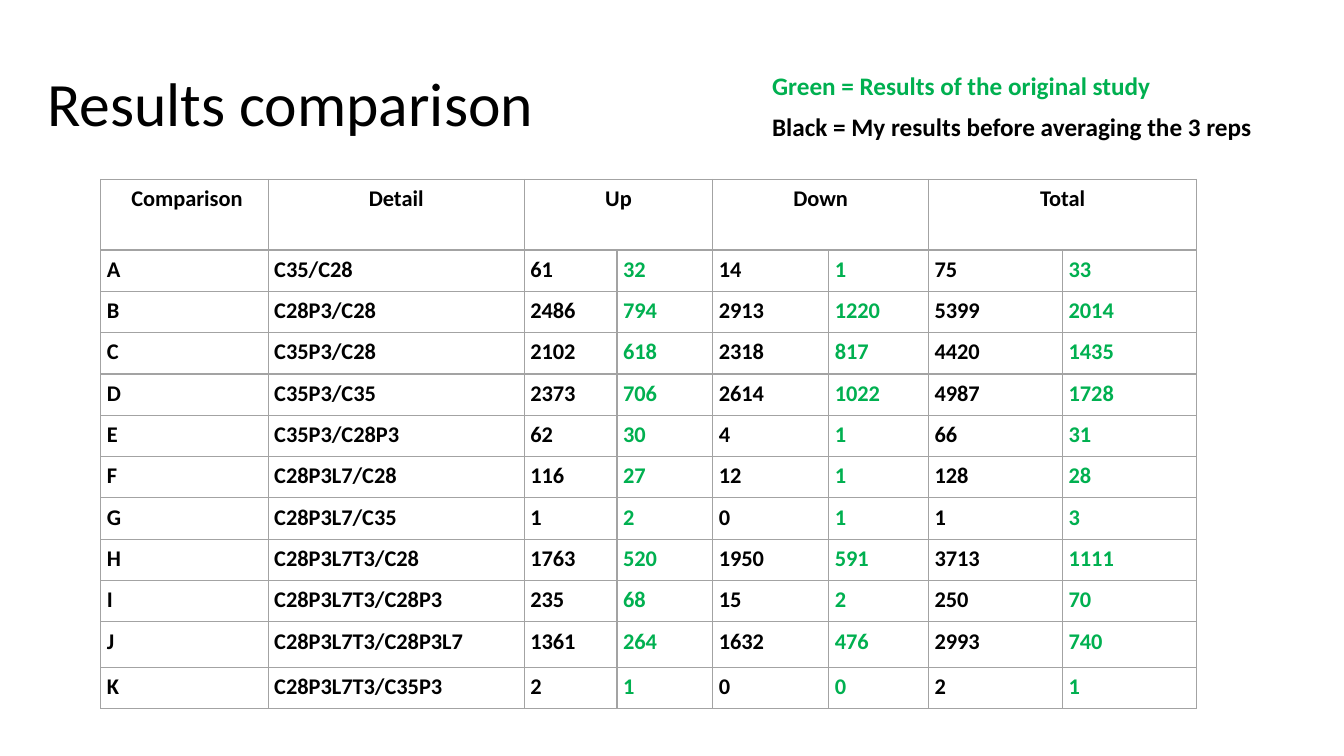
from lxml.etree import SubElement
from pptx import Presentation
from pptx.dml.color import RGBColor
from pptx.enum.text import MSO_ANCHOR, PP_ALIGN
from pptx.oxml.ns import qn
from pptx.util import Inches, Pt

COLORS = {"mine": "000000", "study": "00B050", "grid": "A3A3A3"}

# Grid of the table, in inches
COLUMNS = [1.66, 2.54, 0.92, 0.95, 1.15, 0.99, 1.33, 1.33]
ROWS = [0.7] + [0.41] * 9 + [0.45, 0.41]
CELL_INSET = Inches(0.06)

# Detail, then up (mine, study) and down (mine, study)
RESULTS = [
    ("C35/C28", 61, 32, 14, 1),
    ("C28P3/C28", 2486, 794, 2913, 1220),
    ("C35P3/C28", 2102, 618, 2318, 817),
    ("C35P3/C35", 2373, 706, 2614, 1022),
    ("C35P3/C28P3", 62, 30, 4, 1),
    ("C28P3L7/C28", 116, 27, 12, 1),
    ("C28P3L7/C35", 1, 2, 0, 1),
    ("C28P3L7T3/C28", 1763, 520, 1950, 591),
    ("C28P3L7T3/C28P3", 235, 68, 15, 2),
    ("C28P3L7T3/C28P3L7", 1361, 264, 1632, 476),
    ("C28P3L7T3/C35P3", 2, 1, 0, 0),
]


def add_run(paragraph, text, size, color, bold=True):
    run = paragraph.add_run()
    run.text = text
    run.font.name = "Calibri"
    run.font.size = Pt(size)
    run.font.bold = bold
    run.font.color.rgb = RGBColor.from_string(COLORS[color])


def add_text(slide, left, top, width, height):
    frame = slide.shapes.add_textbox(
        Inches(left), Inches(top), Inches(width), Inches(height)).text_frame
    frame.word_wrap = True
    return frame


prs = Presentation()
prs.slide_width, prs.slide_height = Inches(13.33), Inches(7.5)
slide = prs.slides.add_slide(prs.slide_layouts[6])

# Title
title = add_text(slide, 0.37, 0.33, 11.5, 1.45)
title.vertical_anchor = MSO_ANCHOR.MIDDLE
title.paragraphs[0].line_spacing = 0.9
add_run(title.paragraphs[0], "Results comparison", 44, "mine", bold=False)

# Table grid
table = slide.shapes.add_table(
    len(ROWS), len(COLUMNS), Inches(1), Inches(1.78),
    Inches(sum(COLUMNS)), Inches(sum(ROWS))).table
table.first_row = table.horz_banding = False
for column, width in zip(table.columns, COLUMNS):
    column.width = Inches(width)
for row, height in zip(table.rows, ROWS):
    row.height = Inches(height)

# Cell borders, insets and fill
for cell in table.iter_cells():
    cell.margin_left = cell.margin_right = CELL_INSET
    cell.margin_top = cell.margin_bottom = CELL_INSET
    properties = cell._tc.get_or_add_tcPr()
    for side in ("a:lnL", "a:lnR", "a:lnT", "a:lnB"):
        border = SubElement(properties, qn(side), w=str(Pt(1)))
        line_fill = SubElement(border, qn("a:solidFill"))
        SubElement(line_fill, qn("a:srgbClr"), val=COLORS["grid"])
    cell.fill.background()

# Header row: the three counts span a pair of columns each
headers = {0: " Comparison", 1: "Detail", 2: "Up", 4: "Down", 6: "Total"}
for c, header in headers.items():
    cell = table.cell(0, c)
    if c >= 2:
        cell.merge(table.cell(0, c + 1))
    heading = cell.text_frame.paragraphs[0]
    heading.alignment = PP_ALIGN.CENTER
    add_run(heading, header, 16, "mine")

# Result rows: totals are up plus down, the study's counts are green
for r, (letter, result) in enumerate(zip("ABCDEFGHIJK", RESULTS), start=1):
    detail, up, study_up, down, study_down = result
    values = [letter, detail, up, study_up, down, study_down,
              up + down, study_up + study_down]
    for c, value in enumerate(values):
        color = "study" if c >= 3 and c % 2 else "mine"
        add_run(table.cell(r, c).text_frame.paragraphs[0], str(value), 16, color)

# Colour key
for top, text, color in [
    (1.06, "Black = My results before averaging the 3 reps", "mine"),
    (0.65, "Green = Results of the original study", "study"),
]:
    key = add_text(slide, 7.56, top, 5.19, 0.4)
    add_run(key.paragraphs[0], text, 18, color)

prs.save("out.pptx")
